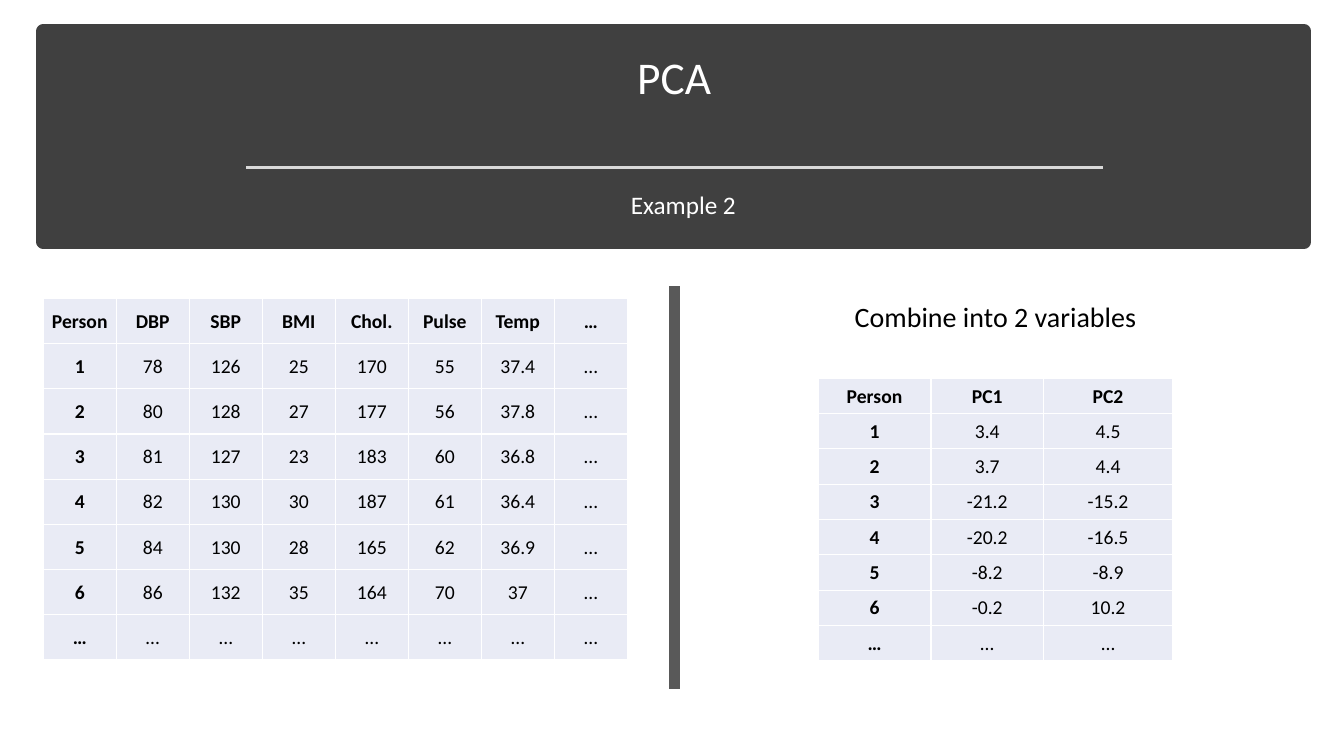
"""Build a slide that shows patient variables reduced to two principal components."""
import pptx
import pptx.dml.color
import pptx.enum.shapes
import pptx.enum.text
import pptx.oxml
import pptx.oxml.ns
import pptx.util

Cm = pptx.util.Cm
Pt = pptx.util.Pt
ALIGN = pptx.enum.text.PP_ALIGN
ANCHOR = pptx.enum.text.MSO_ANCHOR

MEASUREMENTS = [
    ("Person", "DBP", "SBP", "BMI", "Chol.", "Pulse", "Temp", "…"),
    ("1", "78", "126", "25", "170", "55", "37.4", "…"),
    ("2", "80", "128", "27", "177", "56", "37.8", "…"),
    ("3", "81", "127", "23", "183", "60", "36.8", "…"),
    ("4", "82", "130", "30", "187", "61", "36.4", "…"),
    ("5", "84", "130", "28", "165", "62", "36.9", "…"),
    ("6", "86", "132", "35", "164", "70", "37", "…"),
    ("…",) * 8,
]
COMPONENTS = [
    ("Person", "PC1", "PC2"),
    ("1", "3.4", "4.5"),
    ("2", "3.7", "4.4"),
    ("3", "-21.2", "-15.2"),
    ("4", "-20.2", "-16.5"),
    ("5", "-8.2", "-8.9"),
    ("6", "-0.2", "10.2"),
    ("…",) * 3,
]
TABLES = [
    (MEASUREMENTS, 1.09, 7.52, [1.84] * 8, 1.14),
    (COMPONENTS, 20.62, 9.53, [2.84, 2.84, 3.25], 0.89),
]
TEXTS = [
    ("PCA", (1.52, 0.95, 30.94, 1.95), 32.4, "FFFFFF", ALIGN.CENTER),
    ("Example 2", (15.65, 4.65, 7.46, 1.02), 18, "FFFFFF", ALIGN.LEFT),
    ("Combine into 2 variables", (21.29, 7.42, 7.98, 1.12), 20, "000000", ALIGN.LEFT),
]
LINES = [
    ((6.2, 4.22, 27.79, 4.22), "D9D9D9", 1.75),
    ((17, 7.21, 17, 17.37), "595959", 8),
]


def color(value):
    return pptx.dml.color.RGBColor.from_string(value)


def style_text(para, size, value, align, bold=False):
    para.alignment = align
    for span in para.runs:
        span.font.name = "Calibri"
        span.font.size = Pt(size)
        span.font.bold = bold
        span.font.color.rgb = color(value)


def add_banner(page):
    banner = page.shapes.add_shape(
        pptx.enum.shapes.MSO_SHAPE.RECTANGLE, Cm(1.09), Cm(0.79), Cm(31.78), Cm(5.3))
    banner.shadow.inherit = False
    banner.fill.solid()
    banner.fill.fore_color.rgb = color("404040")
    banner.line.color.rgb = color("404040")
    banner.line.width = Pt(10)


def add_line(page, ends, value, width):
    line = page.shapes.add_connector(
        pptx.enum.shapes.MSO_CONNECTOR.STRAIGHT, *map(Cm, ends))
    line.line.color.rgb = color(value)
    line.line.width = Pt(width)
    effects = pptx.oxml.parse_xml(f'<a:effectLst {pptx.oxml.ns.nsdecls("a")}/>')
    line._element.spPr.append(effects)


def add_text(page, text, place, size, value, align):
    box = page.shapes.add_textbox(*map(Cm, place))
    box.text_frame.word_wrap = True
    box.text_frame.vertical_anchor = ANCHOR.MIDDLE
    box.text_frame.text = text
    style_text(box.text_frame.paragraphs[0], size, value, align)


def add_borders(cell):
    properties = cell._tc.get_or_add_tcPr()
    for index, side in enumerate(("lnL", "lnR", "lnT", "lnB")):
        border = pptx.oxml.parse_xml(
            f'<a:{side} {pptx.oxml.ns.nsdecls("a")} w="{Pt(1)}"><a:solidFill>'
            f'<a:srgbClr val="FFFFFF"/></a:solidFill></a:{side}>')
        properties.insert(index, border)


def add_data_table(page, rows, left, top, widths, height):
    table = page.shapes.add_table(
        len(rows), len(widths), Cm(left), Cm(top),
        Cm(sum(widths)), Cm(height * len(rows))).table
    table.horz_banding = False
    for column, width in zip(table.columns, widths):
        column.width = Cm(width)
    for row_index, values in enumerate(rows):
        table.rows[row_index].height = Cm(height)
        for column_index, value in enumerate(values):
            cell = table.cell(row_index, column_index)
            cell.text_frame.text = value
            cell.vertical_anchor = ANCHOR.MIDDLE
            cell.margin_left = cell.margin_right = cell.margin_top = Cm(0.02)
            cell.margin_bottom = Cm(0)
            cell.fill.solid()
            cell.fill.fore_color.rgb = color("E9EBF5")
            add_borders(cell)
            heading = row_index == 0 or column_index == 0
            style_text(cell.text_frame.paragraphs[0], 14, "000000", ALIGN.CENTER, heading)


def main():
    deck = pptx.Presentation()
    deck.slide_width, deck.slide_height = Cm(33.87), Cm(19.05)
    page = deck.slides.add_slide(deck.slide_layouts[6])
    add_banner(page)
    for line in LINES:
        add_line(page, *line)
    for text in TEXTS:
        add_text(page, *text)
    for table in TABLES:
        add_data_table(page, *table)
    deck.save("out.pptx")


if __name__ == "__main__":
    main()
